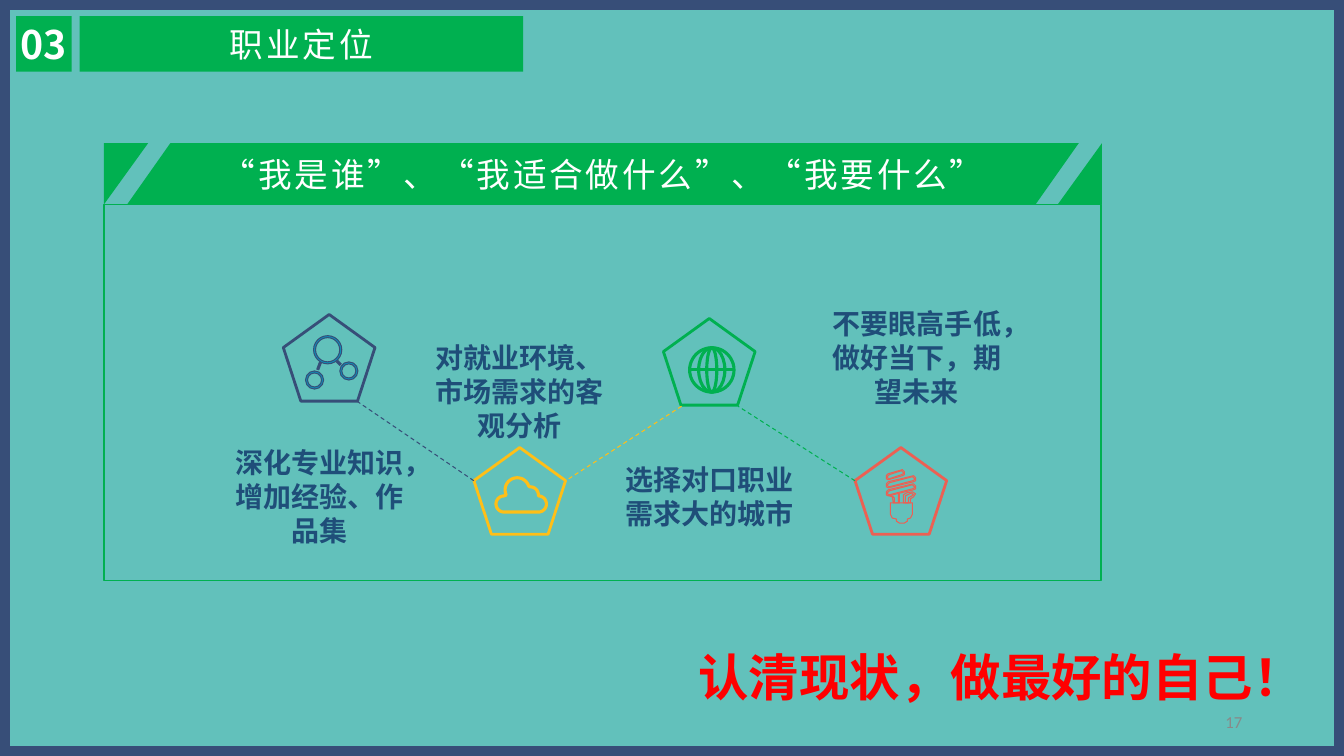
from dataclasses import dataclass
from math import cos, radians, sin

from lxml.etree import SubElement
from pptx import Presentation
from pptx.dml.color import RGBColor
from pptx.enum.dml import MSO_LINE
from pptx.enum.shapes import MSO_CONNECTOR, MSO_SHAPE
from pptx.enum.text import MSO_ANCHOR, PP_ALIGN
from pptx.oxml.ns import qn
from pptx.util import Inches, Pt


@dataclass(frozen=True)
class Theme:
    background: str = "62C1BB"
    navy: str = "374E78"
    blue: str = "0895BE"
    green: str = "00B050"
    yellow: str = "FFBF17"
    coral: str = "EC6053"
    body: str = "1F4E79"
    white: str = "FFFFFF"
    red: str = "FF0000"
    grey: str = "898989"
    font: str = "Noto Sans CJK SC"
    number_font: str = "Calibri"
    slogan_size: int = 36
    number_size: int = 28
    title_size: int = 24
    body_size: int = 20
    page_size: int = 12
    hairline: float = 0.75
    outline: float = 2
    icon_stroke: float = 2.25


THEME = Theme()


def rgb(value):
    return RGBColor.from_string(value)


# --- Element builders ---
def style(shape, fill=None, line=None, width=THEME.hairline):
    shape.shadow.inherit = False
    if fill:
        shape.fill.solid()
        shape.fill.fore_color.rgb = rgb(fill)
    else:
        shape.fill.background()
    if line:
        shape.line.color.rgb = rgb(line)
        shape.line.width = Pt(width)
    else:
        shape.line.fill.background()
    return shape


def add_preset(slide, kind, box, **look):
    return style(slide.shapes.add_shape(kind, *map(Inches, box)), **look)


def add_disc(slide, kind, center, radius_x, radius_y, **look):
    x, y = center
    box = (x - radius_x, y - radius_y, 2 * radius_x, 2 * radius_y)
    return add_preset(slide, kind, box, **look)


def add_outline(slide, contours, **look):
    builder = None
    for contour in contours:
        start, *rest = [(Inches(x), Inches(y)) for x, y in contour]
        if builder is None:
            builder = slide.shapes.build_freeform(*start)
        else:
            builder.move_to(*start)
        builder.add_line_segments(rest, close=True)
    return style(builder.convert_to_shape(), **look)


def add_link(slide, start, end, color, width=THEME.hairline, dashed=False):
    link = slide.shapes.add_connector(
        MSO_CONNECTOR.STRAIGHT, *map(Inches, (*start, *end)))
    link.line.color.rgb = rgb(color)
    link.line.width = Pt(width)
    if dashed:
        link.line.dash_style = MSO_LINE.DASH
    SubElement(link._element.spPr, qn("a:effectLst"))


def write(shape, text, size, color, bold=False, align=PP_ALIGN.CENTER,
          anchor=MSO_ANCHOR.MIDDLE, spacing=0, line_height=None, font=THEME.font):
    frame = shape.text_frame
    frame.word_wrap = True
    frame.vertical_anchor = anchor
    paragraph = frame.paragraphs[0]
    paragraph.alignment = align
    if line_height:
        paragraph.line_spacing = Pt(round(size * line_height, 1))
    run = paragraph.add_run()
    run.text = text
    run.font.size = Pt(size)
    run.font.bold = bold
    run.font.name = font
    run.font.color.rgb = rgb(color)
    properties = run._r.get_or_add_rPr()
    properties.set("lang", "zh-CN")
    if spacing:
        properties.set("spc", str(spacing * 100))
    SubElement(properties, qn("a:ea")).set("typeface", font)


def add_text(slide, box, text, size, color, **options):
    write(slide.shapes.add_textbox(*map(Inches, box)), text, size, color,
          anchor=MSO_ANCHOR.TOP, **options)


# --- Icons ---
def add_molecule(slide):
    for link in (((3.18, 3.59), (3.15, 3.67)), ((3.34, 3.58), (3.38, 3.62))):
        add_link(slide, *link, THEME.navy, THEME.icon_stroke)
    for center, radius in (((3.25, 3.47), 0.14), ((3.12, 3.77), 0.09),
                           ((3.46, 3.68), 0.09)):
        atom = add_disc(slide, MSO_SHAPE.DONUT, center, radius, radius,
                        fill=THEME.blue, line=THEME.navy)
        atom.adjustments[0] = 0.01 / radius


def add_globe(slide):
    center_x, center_y, radius = 7.06, 3.67, 0.22
    for half_width in (radius, 0.13, 0.05):
        add_disc(slide, MSO_SHAPE.OVAL, (center_x, center_y), half_width, radius,
                 line=THEME.green, width=THEME.icon_stroke)
    add_link(slide, (center_x - radius, center_y), (center_x + radius, center_y),
             THEME.green, THEME.icon_stroke)


def arc(x, y, radius, start, end, steps=24):
    angles = [radians(start + (end - start) * i / steps) for i in range(steps + 1)]
    return [(x + radius * cos(a), y + radius * sin(a)) for a in angles]


def add_cloud(slide):
    cloud = (arc(5, 5, 0.08, 90, 270) + arc(5.13, 4.86, 0.12, 155, 340)
             + arc(5.26, 4.91, 0.08, 265, 360) + arc(5.34, 5, 0.08, 270, 450))
    add_outline(slide, [cloud], line=THEME.yellow, width=THEME.icon_stroke)


def tube(right, left_top, right_top, inset):
    left, right = 8.79 + inset, right - inset
    top, bottom, cut = inset, 0.06 - inset, 0.02
    return [(left, left_top + top + cut), (left + cut, left_top + top),
            (right - cut, right_top + top), (right, right_top + top + cut),
            (right, right_top + bottom - cut / 2), (right - cut, right_top + bottom),
            (left + cut, left_top + bottom), (left, left_top + bottom - cut / 2)]


def add_bulb(slide):
    coils = ((8.97, 4.7, 4.66), (9.08, 4.78, 4.72), (9.08, 4.86, 4.8))
    contours = [tube(*coil, inset) for coil in coils for inset in (0, 0.01)]
    contours += [
        # Left and right stems, then the socket
        [(8.82, 4.92), (8.85, 4.93), (8.86, 4.99), (8.92, 4.99), (8.92, 4.9),
         (8.91, 4.9), (8.91, 4.99), (8.87, 4.99), (8.87, 4.94), (8.85, 4.92)],
        [(8.96, 4.99), (8.96, 4.91), (8.99, 4.89), (9.05, 4.88), (9.08, 4.9),
         (9.06, 4.93), (9.03, 4.95), (9.03, 4.99)],
        [(8.98, 4.99), (8.98, 4.92), (9.04, 4.89), (9.06, 4.91), (9.01, 4.94),
         (9.01, 4.99)],
        [(8.83, 4.99), (9.05, 4.99), (9.05, 5.1), (9.03, 5.14), (9, 5.15),
         (9, 5.17), (8.97, 5.19), (8.92, 5.19), (8.89, 5.17), (8.89, 5.15),
         (8.85, 5.14), (8.83, 5.1)],
    ]
    add_outline(slide, contours, line=THEME.coral)


# --- Slide parts ---
def add_steps(slide):
    steps = ((2.81, 3.12, THEME.navy, add_molecule), (8.48, 4.44, THEME.coral, add_bulb),
             (6.58, 3.16, THEME.green, add_globe), (4.7, 4.44, THEME.yellow, add_cloud))
    for left, top, color, add_icon in steps:
        add_preset(slide, MSO_SHAPE.REGULAR_PENTAGON, (left, top, 0.91, 0.86),
                   line=color, width=THEME.outline)
        add_icon(slide)
    for start, end, color in (((3.54, 3.98), (4.7, 4.77), THEME.navy),
                              ((6.76, 4.03), (5.61, 4.77), THEME.yellow),
                              ((8.48, 4.77), (7.32, 4.03), THEME.green)):
        add_link(slide, start, end, color, dashed=True)
    for box, advice in (((2.2, 4.37, 1.94, 1.11), "深化专业知识，增加经验、作品集"),
                        ((4.09, 3.33, 2.13, 1.45), "对就业环境、市场需求的客观分析"),
                        ((5.97, 4.54, 2.13, 0.77), "选择对口职业需求大的城市"),
                        ((8.03, 2.99, 2.13, 1.11), "不要眼高手低，做好当下，期望未来")):
        add_text(slide, box, advice, THEME.body_size, THEME.body, bold=True,
                 line_height=1.21)


def add_panel(slide):
    left, right, top, bottom = 1.03, 10.93, 1.42, 2.03
    banner = add_outline(slide, [
        [(1.69, top), (10.7, top), (10.27, bottom), (1.26, bottom)],
        [(left, top), (1.47, top), (left, bottom)],
        [(right, top), (right, bottom), (10.49, bottom)],
    ], fill=THEME.green)
    write(banner, "“我是谁”、“我适合做什么”、“我要什么”",
          THEME.title_size, THEME.white, spacing=2)
    add_preset(slide, MSO_SHAPE.RECTANGLE, (left, bottom, 9.89, 3.73),
               line=THEME.green, width=1)


def add_header(slide):
    number = add_preset(slide, MSO_SHAPE.RECTANGLE, (0.16, 0.16, 0.55, 0.55),
                        fill=THEME.green)
    frame = number.text_frame
    frame.margin_left = frame.margin_right = frame.margin_top = frame.margin_bottom = 0
    write(number, "03", THEME.number_size, THEME.white, bold=True)
    title = add_preset(slide, MSO_SHAPE.RECTANGLE, (0.79, 0.16, 4.4, 0.55),
                       fill=THEME.green)
    write(title, "职业定位", THEME.title_size, THEME.white, spacing=2)


def main():
    deck = Presentation()
    deck.slide_width, deck.slide_height = Inches(13.33), Inches(7.5)
    slide = deck.slides.add_slide(deck.slide_layouts[6])
    slide.background.fill.solid()
    slide.background.fill.fore_color.rgb = rgb(THEME.background)

    add_steps(slide)
    add_panel(slide)
    add_header(slide)
    border = add_preset(slide, MSO_SHAPE.FRAME, (0, 0, 13.33, 7.5), fill=THEME.navy)
    border.adjustments[0] = 0.013
    add_text(slide, (6.83, 6.35, 5.75, 0.71), "认清现状，做最好的自己！",
             THEME.slogan_size, THEME.red, bold=True, align=PP_ALIGN.LEFT,
             line_height=1.22)
    add_text(slide, (11.42, 7.01, 1, 0.3), "17", THEME.page_size, THEME.grey,
             align=PP_ALIGN.RIGHT, font=THEME.number_font)
    deck.save("out.pptx")


if __name__ == "__main__":
    main()
